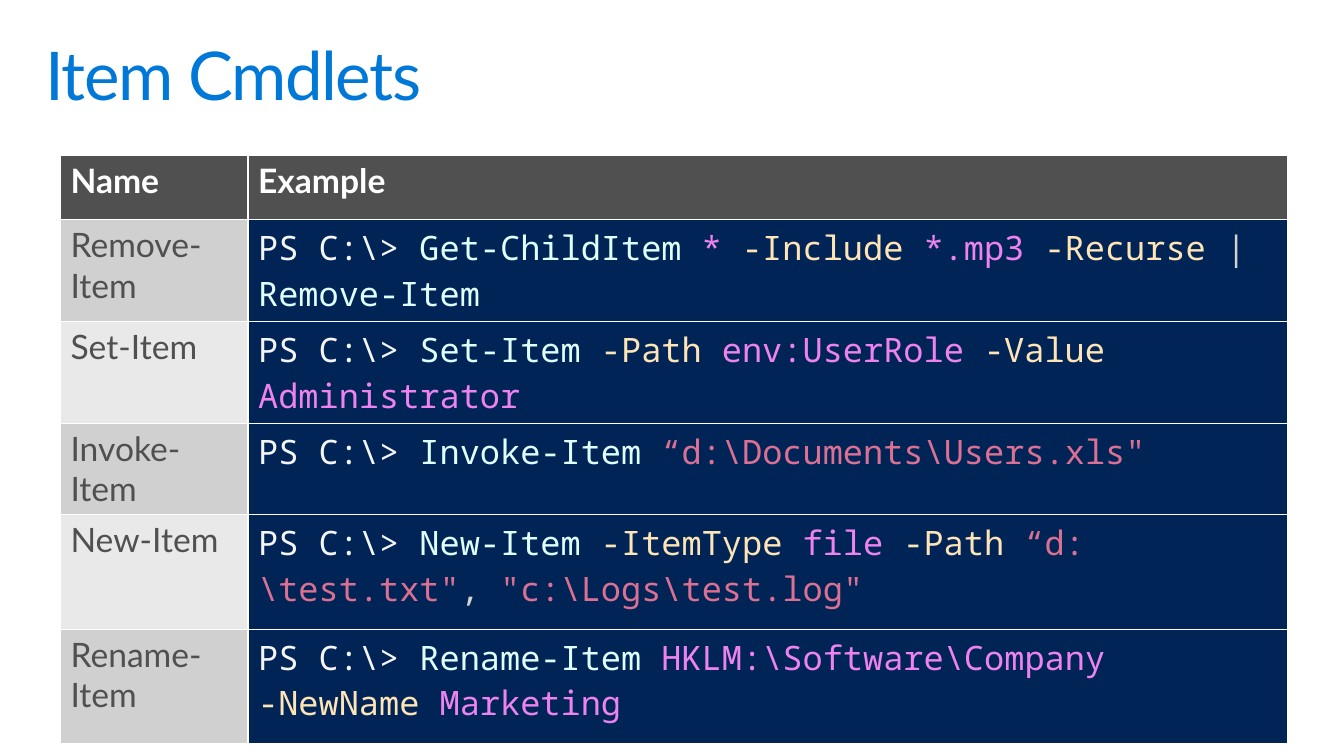
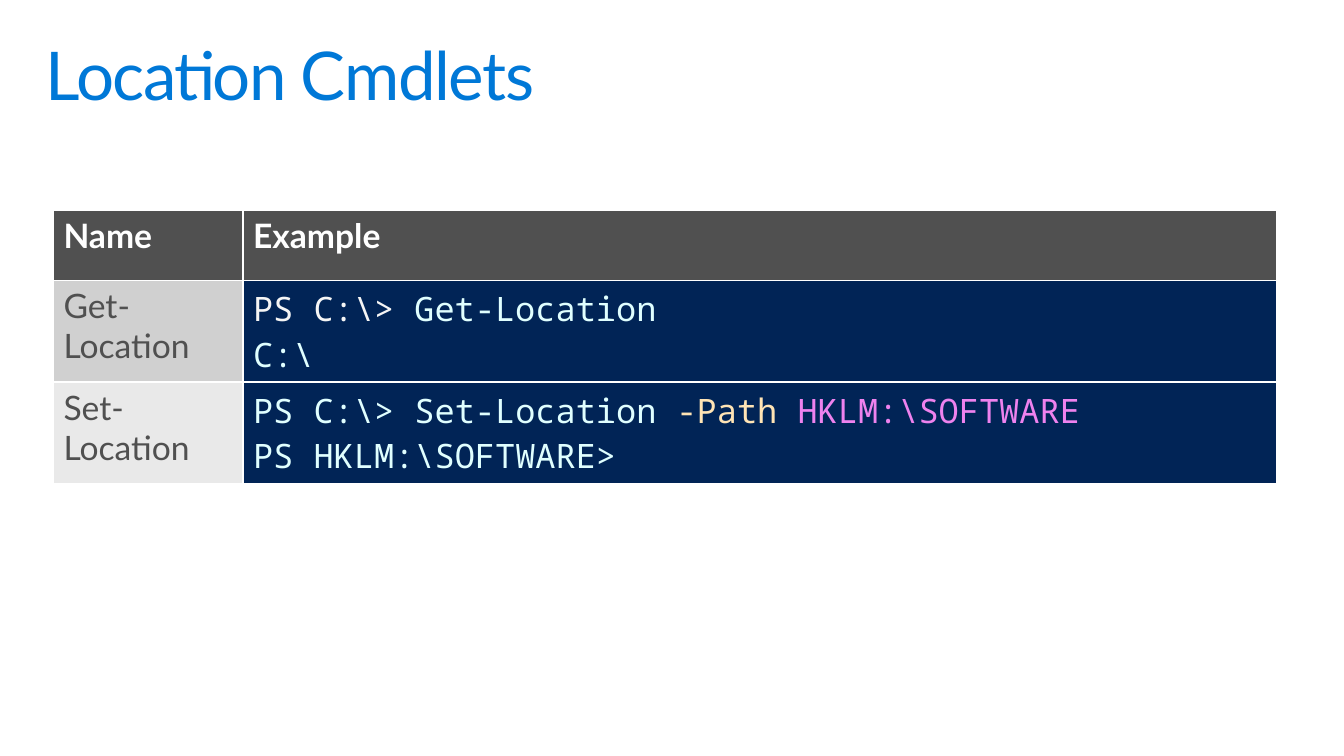
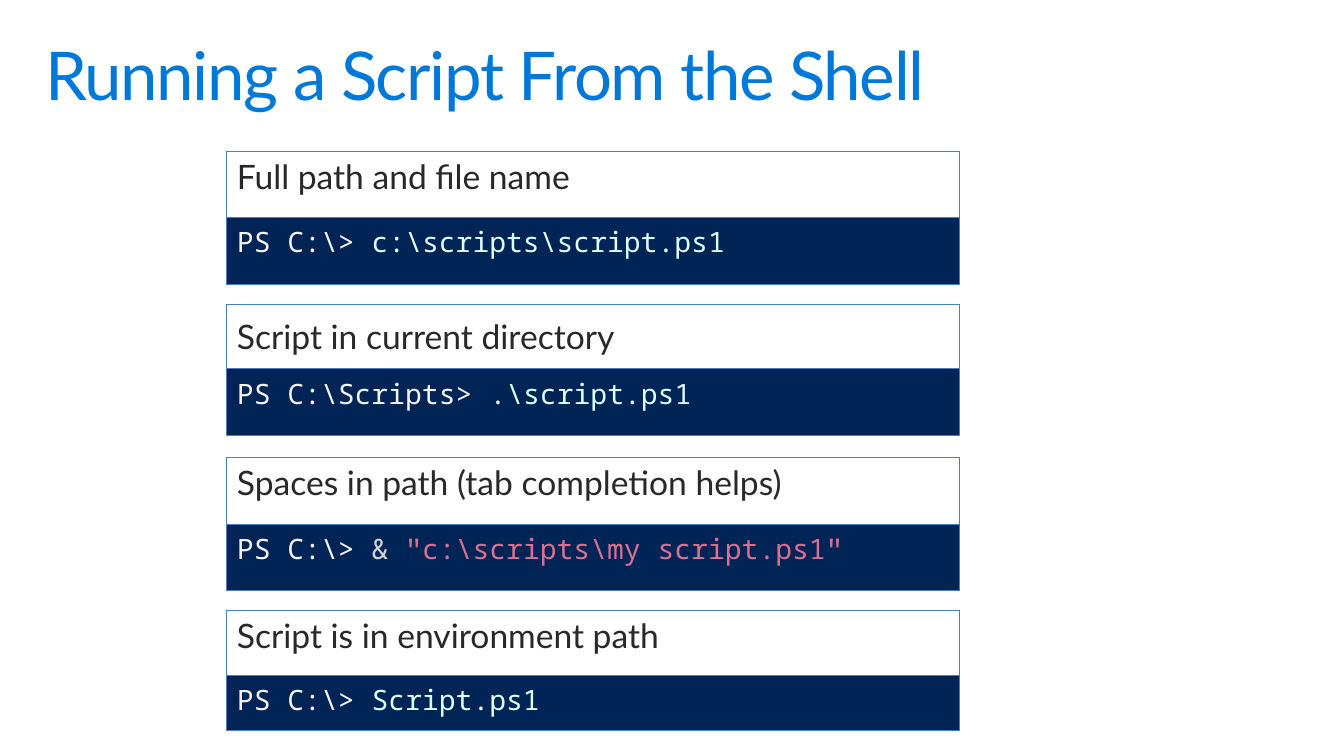
"""Build three slides on shell cmdlets and on running scripts."""
import pptx
import pptx.dml.color
import pptx.enum.text
import pptx.oxml
import pptx.oxml.ns
import pptx.util

Inches = pptx.util.Inches
Pt = pptx.util.Pt
RGB = pptx.dml.color.RGBColor
ANCHOR = pptx.enum.text.MSO_ANCHOR

TITLE_BLUE = RGB(0x00, 0x78, 0xD7)
WHITE = RGB(0xFF, 0xFF, 0xFF)
DARK_GRAY = RGB(0x50, 0x50, 0x50)
BANDS = (RGB(0xD0, 0xD0, 0xD0), RGB(0xE9, 0xE9, 0xE9))
CONSOLE = RGB(0x01, 0x24, 0x56)
BOX_BLUE = RGB(0x4B, 0x7E, 0xBC)
CAPTION = RGB(0x28, 0x28, 0x28)
ROSE = RGB(0xDB, 0x70, 0x93)
SANS = "Lato"
MONO = "Noto Sans Mono"

STYLES = {
    "prompt": (RGB(0xF5, 0xF5, 0xF5), MONO),
    "command": (RGB(0xE0, 0xFF, 0xFF), MONO),
    "parameter": (RGB(0xFF, 0xE4, 0xB5), MONO),
    "value": (RGB(0xEE, 0x82, 0xEE), MONO),
    "operator": (RGB(0xD3, 0xD3, 0xD3), MONO),
    "string": (ROSE, MONO),
    "quote": (ROSE, "Courier New"),
    "header": (WHITE, SANS),
    "name": (DARK_GRAY, SANS),
    "caption": (CAPTION, SANS),
}
PROMPT = ("prompt", "PS C:\\> ")

CMDLET_TABLES = [
    {
        "title": "Item Cmdlets",
        "at": (0.6, 1.54),
        "columns": (1.86, 10.31),
        "header_height": 0.64,
        "rows": [
            (0.96, "Remove-Item", [
                [PROMPT, ("command", "Get-ChildItem "), ("value", "* "),
                 ("parameter", "-Include "), ("value", "*.mp3 "),
                 ("parameter", "-Recurse "), ("operator", "|")],
                [("command", "Remove-Item")]]),
            (0.72, "Set-Item", [
                [PROMPT, ("command", "Set-Item "), ("parameter", "-Path "),
                 ("value", "env:UserRole "), ("parameter", "-Value "),
                 ("value", "Administrator")]]),
            (0.76, "Invoke-Item", [
                [PROMPT, ("command", "Invoke-Item "),
                 ("string", "“d:\\Documents\\Users.xls\"")]]),
            (1.14, "New-Item", [
                [PROMPT, ("command", "New-Item "), ("parameter", "-ItemType "),
                 ("value", "file "), ("parameter", "-Path "),
                 ("string", "“d:\\test.txt\""), ("operator", ", "),
                 ("string", "\"c:\\Logs\\test.log\"")]]),
            (1.14, "Rename-Item", [
                [PROMPT, ("command", "Rename-Item "),
                 ("value", "HKLM:\\Software\\Company "),
                 ("parameter", "-NewName "), ("value", "Marketing")]]),
        ],
    },
    {
        "title": "Location Cmdlets",
        "at": (0.53, 2.09),
        "columns": (1.88, 10.25),
        "header_height": 0.69,
        "rows": [
            (0.94, "Get-Location", [
                [PROMPT, ("command", "Get-Location")],
                [("command", "C:\\")]]),
            (0.94, "Set-Location", [
                [("command", "PS C:\\> Set-Location "), ("parameter", "-Path "),
                 ("value", "HKLM:\\SOFTWARE")],
                [("command", "PS HKLM:\\SOFTWARE>")]]),
        ],
    },
]

SCRIPT_TITLE = "Running a Script From the Shell"
SCRIPT_BOXES = [
    ("Full path and file name", ANCHOR.TOP, (0.66, 0.66),
     [PROMPT, ("command", "c:\\scripts\\script.ps1")]),
    ("Script in current directory", ANCHOR.MIDDLE, (0.64, 0.66),
     [("prompt", "PS C:\\Scripts> "), ("command", ".\\script.ps1")]),
    ("Spaces in path (tab completion helps)", ANCHOR.TOP, (0.66, 0.66),
     [PROMPT, ("operator", "& "), ("quote", "\""),
      ("string", "c:\\scripts\\my script.ps1"), ("quote", "\"")]),
    ("Script is in environment path", ANCHOR.TOP, (0.64, 0.55),
     [PROMPT, ("command", "Script.ps1")]),
]
BOX_LEFT, BOX_TOP, BOX_WIDTH, BOX_PITCH = 2.25, 1.5, 7.27, 1.52


def style_layout(layout):
    title = layout.placeholders[0]
    title.left, title.top = Inches(0.29), Inches(0.32)
    title.width, title.height = Inches(12.75), Inches(0.98)
    tf = title.text_frame
    tf.margin_left = tf.margin_right = Inches(0.16)
    tf.margin_top = tf.margin_bottom = Inches(0.1)
    tf.vertical_anchor = ANCHOR.TOP
    tf.auto_size = pptx.enum.text.MSO_AUTO_SIZE.NONE


def add_titled_slide(prs, layout, title):
    s = prs.slides.add_slide(layout)
    p = s.shapes.title.text_frame.paragraphs[0]
    p.alignment = pptx.enum.text.PP_ALIGN.LEFT
    p.line_spacing = 0.9
    r = p.add_run()
    r.text = title
    r.font.size = Pt(48)
    r.font.name = SANS
    r.font.color.rgb = TITLE_BLUE
    r.font._element.set("spc", "-100")
    return s


def add_plain_table(s, left, top, columns, heights):
    frame = s.shapes.add_table(
        len(heights), len(columns), Inches(left), Inches(top),
        Inches(sum(columns)), Inches(sum(heights)))
    table = frame.table
    table.first_row = table.horz_banding = False
    for column, width in zip(table.columns, columns):
        column.width = Inches(width)
    for row, height in zip(table.rows, heights):
        row.height = Inches(height)
    return table


def set_borders(cell, color, width):
    tc_pr = cell._tc.get_or_add_tcPr()
    for side in ("lnL", "lnR", "lnT", "lnB"):
        tc_pr.append(pptx.oxml.parse_xml(
            f'<a:{side} {pptx.oxml.ns.nsdecls("a")} w="{Pt(width)}">'
            f'<a:solidFill><a:srgbClr val="{color}"/></a:solidFill></a:{side}>'))


def fill_cell(cell, paragraphs, fill, border, size=24, bold=False):
    set_borders(cell, *border)
    if fill is None:
        cell.fill.background()
    else:
        cell.fill.solid()
        cell.fill.fore_color.rgb = fill
    tf = cell.text_frame
    for i, runs in enumerate(paragraphs):
        p = tf.add_paragraph() if i else tf.paragraphs[0]
        for style, text in runs:
            r = p.add_run()
            r.text = text
            r.font.size = Pt(size)
            r.font.bold = bold
            r.font.color.rgb, r.font.name = STYLES[style]


def add_cmdlet_table(s, data):
    heights = [data["header_height"]] + [row[0] for row in data["rows"]]
    table = add_plain_table(s, *data["at"], data["columns"], heights)
    border = (WHITE, 1)
    for col, label in enumerate(("Name", "Example")):
        fill_cell(table.cell(0, col), [[("header", label)]], DARK_GRAY, border, bold=True)
    for i, (_, name, example) in enumerate(data["rows"]):
        fill_cell(table.cell(i + 1, 0), [[("name", name)]], BANDS[i % 2], border)
        fill_cell(table.cell(i + 1, 1), example, CONSOLE, border)


def add_script_box(s, top, caption, anchor, heights, command):
    table = add_plain_table(s, BOX_LEFT, top, [BOX_WIDTH], heights)
    border = (BOX_BLUE, 0.75)
    fill_cell(table.cell(0, 0), [[("caption", caption)]], None, border)
    table.cell(0, 0).vertical_anchor = anchor
    fill_cell(table.cell(1, 0), [command], CONSOLE, border, size=20)


def main():
    prs = pptx.Presentation()
    prs.slide_width, prs.slide_height = Inches(13.33), Inches(7.5)
    layout = prs.slide_layouts.get_by_name("Title Only")
    style_layout(layout)
    for data in CMDLET_TABLES:
        add_cmdlet_table(add_titled_slide(prs, layout, data["title"]), data)
    s = add_titled_slide(prs, layout, SCRIPT_TITLE)
    for i, box in enumerate(SCRIPT_BOXES):
        add_script_box(s, BOX_TOP + i * BOX_PITCH, *box)
    prs.save("out.pptx")


if __name__ == "__main__":
    main()
